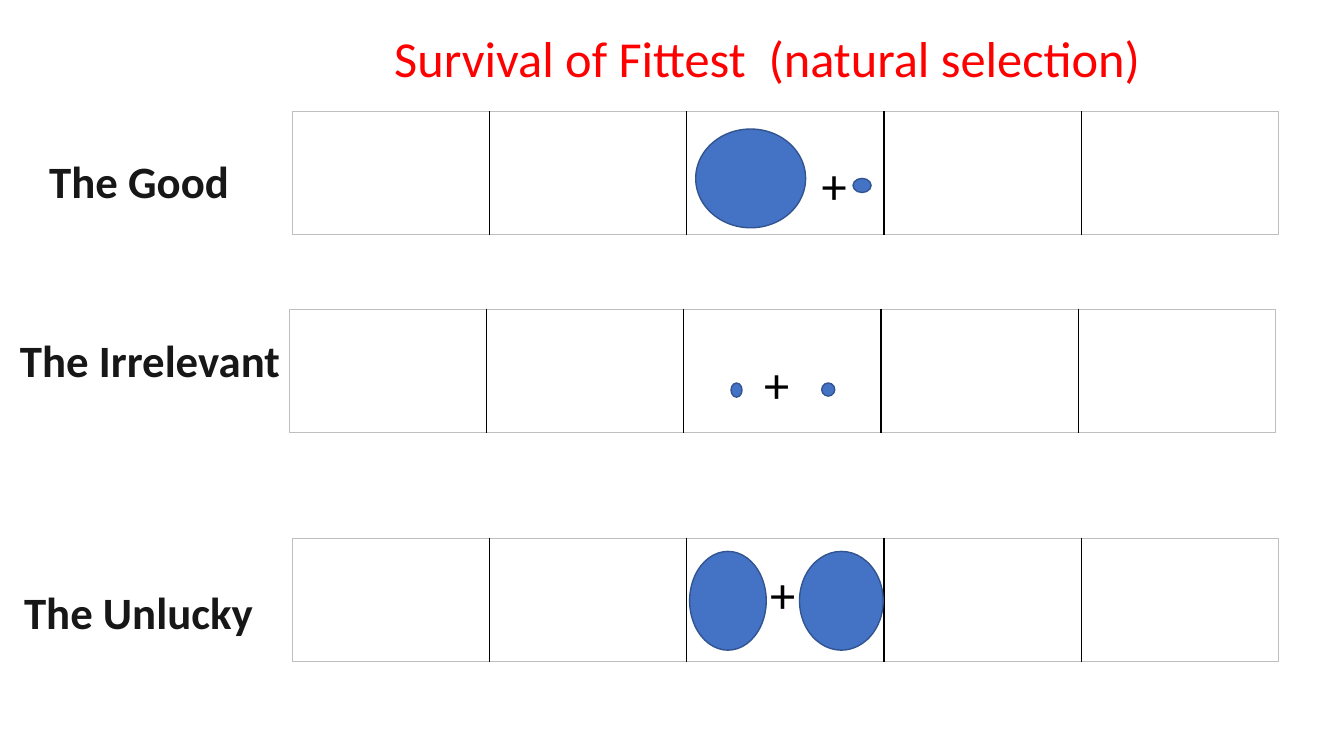
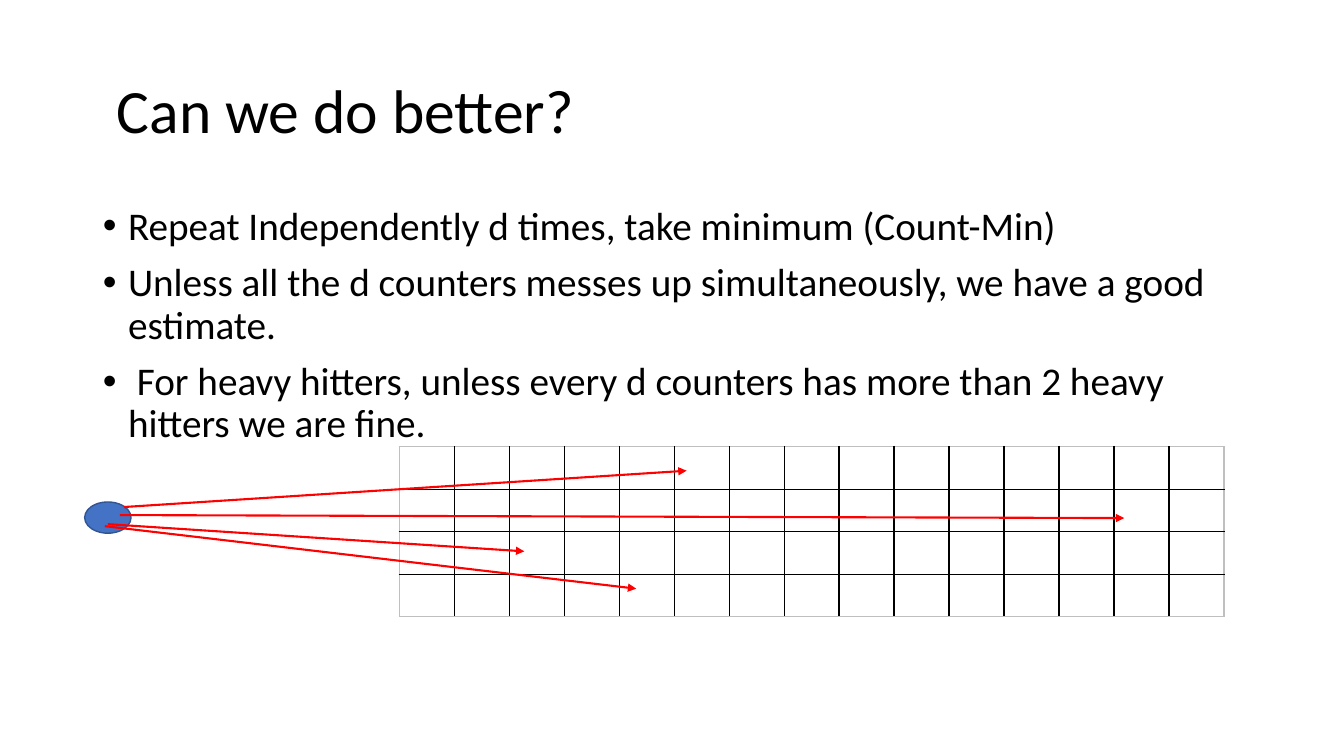
from dataclasses import dataclass

from lxml import etree
from pptx import Presentation
from pptx.dml.color import RGBColor
from pptx.enum import shapes, text
from pptx.oxml import ns
from pptx.util import Inches, Pt

BLACK = RGBColor(0x00, 0x00, 0x00)
INK = RGBColor(0x18, 0x17, 0x17)
RED = RGBColor(0xFF, 0x00, 0x00)
BLUE = RGBColor(0x44, 0x72, 0xC4)
NAVY = RGBColor(0x32, 0x54, 0x91)
GRAY = RGBColor(0xBF, 0xBF, 0xBF)
FONT = "Calibri"
DISC = shapes.MSO_SHAPE.FLOWCHART_CONNECTOR
OVAL = shapes.MSO_SHAPE.OVAL


@dataclass(frozen=True)
class Box:
    left: float
    top: float
    width: float
    height: float

    def place(self) -> tuple:
        return tuple(Inches(n) for n in (self.left, self.top, self.width, self.height))


@dataclass(frozen=True)
class Case:
    name: str
    label: Box
    grid: Box
    items: tuple
    plus: Box


@dataclass(frozen=True)
class Arrow:
    start: tuple
    end: tuple


CASES = (
    Case("The Good", Box(0.39, 1.48, 2, 0.64), Box(2.9, 1.11, 9.78, 1.22),
         (Box(6.9, 1.28, 1.09, 0.98), Box(8.46, 1.77, 0.18, 0.14)),
         Box(8.05, 1.48, 0.45, 0.71)),
    Case("The Irrelevant", Box(0.1, 3.25, 2.8, 0.64), Box(2.87, 3.07, 9.78, 1.22),
         (Box(7.25, 3.8, 0.11, 0.14), Box(8.15, 3.8, 0.13, 0.13)),
         Box(7.48, 3.45, 0.45, 0.71)),
    Case("The Unlucky", Box(0.14, 5.75, 2.49, 0.64), Box(2.9, 5.34, 9.78, 1.22),
         (Box(6.84, 5.47, 0.76, 0.98), Box(7.93, 5.47, 0.83, 0.98)),
         Box(7.54, 5.54, 0.45, 0.71)),
)
POINTS = (
    "Repeat Independently d times, take minimum (Count-Min)",
    "Unless all the d counters messes up simultaneously, we have a good estimate.",
    " For heavy hitters, unless every d counters has more than 2 heavy hitters we are fine.",
)
ARROWS = (
    Arrow((1.23, 5.03), (6.81, 4.67)),
    Arrow((1.19, 5.11), (11.15, 5.14)),
    Arrow((1.07, 5.2), (5.2, 5.47)),
    Arrow((1.04, 5.22), (6.31, 5.84)),
)


def style(frame, size: float, color: RGBColor, bold: bool = False) -> None:
    for para in frame.paragraphs:
        para.alignment = text.PP_ALIGN.LEFT
        for run in para.runs:
            run.font.name = FONT
            run.font.size = Pt(size)
            run.font.bold = bold
            run.font.color.rgb = color


def move(shape, box: Box) -> None:
    shape.left, shape.top, shape.width, shape.height = box.place()


def head(slide, words: str, box: Box, size: float, color: RGBColor, anchor) -> None:
    title = slide.shapes.title
    move(title, box)
    frame = title.text_frame
    frame.text = words
    frame.word_wrap = True
    frame.auto_size = text.MSO_AUTO_SIZE.NONE
    frame.vertical_anchor = anchor
    style(frame, size, color)


def label(slide, words: str, box: Box, size: float, color: RGBColor, bold: bool = False) -> None:
    frame = slide.shapes.add_textbox(*box.place()).text_frame
    frame.word_wrap = False
    frame.text = words
    style(frame, size, color, bold)


def disc(slide, kind, box: Box) -> None:
    shape = slide.shapes.add_shape(kind, *box.place())
    shape.shadow.inherit = False
    shape.fill.solid()
    shape.fill.fore_color.rgb = BLUE
    shape.line.color.rgb = NAVY
    shape.line.width = Pt(1)


def edge(cell, side: str, color: RGBColor) -> None:
    line = etree.SubElement(cell._tc.get_or_add_tcPr(), ns.qn(f"a:{side}"), w=str(Pt(1)))
    fill = etree.SubElement(line, ns.qn("a:solidFill"))
    etree.SubElement(fill, ns.qn("a:srgbClr"), val=str(color))


def grid(slide, box: Box, rows: int, cols: int) -> None:
    table = slide.shapes.add_table(rows, cols, *box.place()).table
    table.first_row = False
    table.horz_banding = False
    for col in table.columns:
        col.width = Inches(box.width / cols)
    for row in table.rows:
        row.height = Inches(box.height / rows)
    for i in range(rows):
        for j in range(cols):
            cell = table.cell(i, j)
            sides = {"lnL": j == 0, "lnR": j == cols - 1,
                     "lnT": i == 0, "lnB": i == rows - 1}
            for side, outer in sides.items():
                edge(cell, side, GRAY if outer else BLACK)
            cell.fill.background()


def arrow(slide, item: Arrow) -> None:
    ends = [Inches(n) for n in item.start + item.end]
    link = slide.shapes.add_connector(shapes.MSO_CONNECTOR.STRAIGHT, *ends)
    link.line.color.rgb = RED
    link.line.width = Pt(1.5)
    etree.SubElement(link.line._get_or_add_ln(), ns.qn("a:tailEnd"), type="triangle")
    etree.SubElement(link._element.spPr, ns.qn("a:effectLst"))


def bullets(shape, box: Box) -> None:
    move(shape, box)
    frame = shape.text_frame
    frame.text = "\n".join(POINTS)
    frame.word_wrap = True
    frame.auto_size = text.MSO_AUTO_SIZE.NONE
    style(frame, 28, BLACK)
    for para in frame.paragraphs:
        para.line_spacing = 0.9
        para.space_before = Pt(10)
        props = para._p.get_or_add_pPr()
        props.set("marL", str(Inches(0.25)))
        props.set("indent", str(Inches(-0.25)))
        etree.SubElement(props, ns.qn("a:buChar"), char="•")


def fittest(deck) -> None:
    slide = deck.slides.add_slide(deck.slide_layouts[5])
    head(slide, "Survival of Fittest  (natural selection)", Box(3.81, 0.22, 7.68, 0.71),
         36, RED, text.MSO_ANCHOR.TOP)
    for case in CASES:
        grid(slide, case.grid, 1, 5)
        for item in case.items:
            disc(slide, DISC, item)
        label(slide, "+", case.plus, 36, BLACK)
        label(slide, case.name, case.label, 32, INK, True)


def better(deck) -> None:
    slide = deck.slides.add_slide(deck.slide_layouts[1])
    head(slide, " Can we do better?", Box(0.92, 0.4, 11.5, 1.45),
         44, BLACK, text.MSO_ANCHOR.MIDDLE)
    slide.shapes.title.text_frame.paragraphs[0].line_spacing = 0.9
    bullets(slide.placeholders[1], Box(0.92, 2, 11.5, 4.76))
    grid(slide, Box(3.96, 4.43, 8.18, 1.69), 4, 15)
    disc(slide, OVAL, Box(0.84, 4.98, 0.46, 0.31))
    for item in ARROWS:
        arrow(slide, item)


def main() -> None:
    deck = Presentation()
    deck.slide_width = Inches(13.33)
    deck.slide_height = Inches(7.5)
    fittest(deck)
    better(deck)
    deck.save("out.pptx")


if __name__ == "__main__":
    main()
